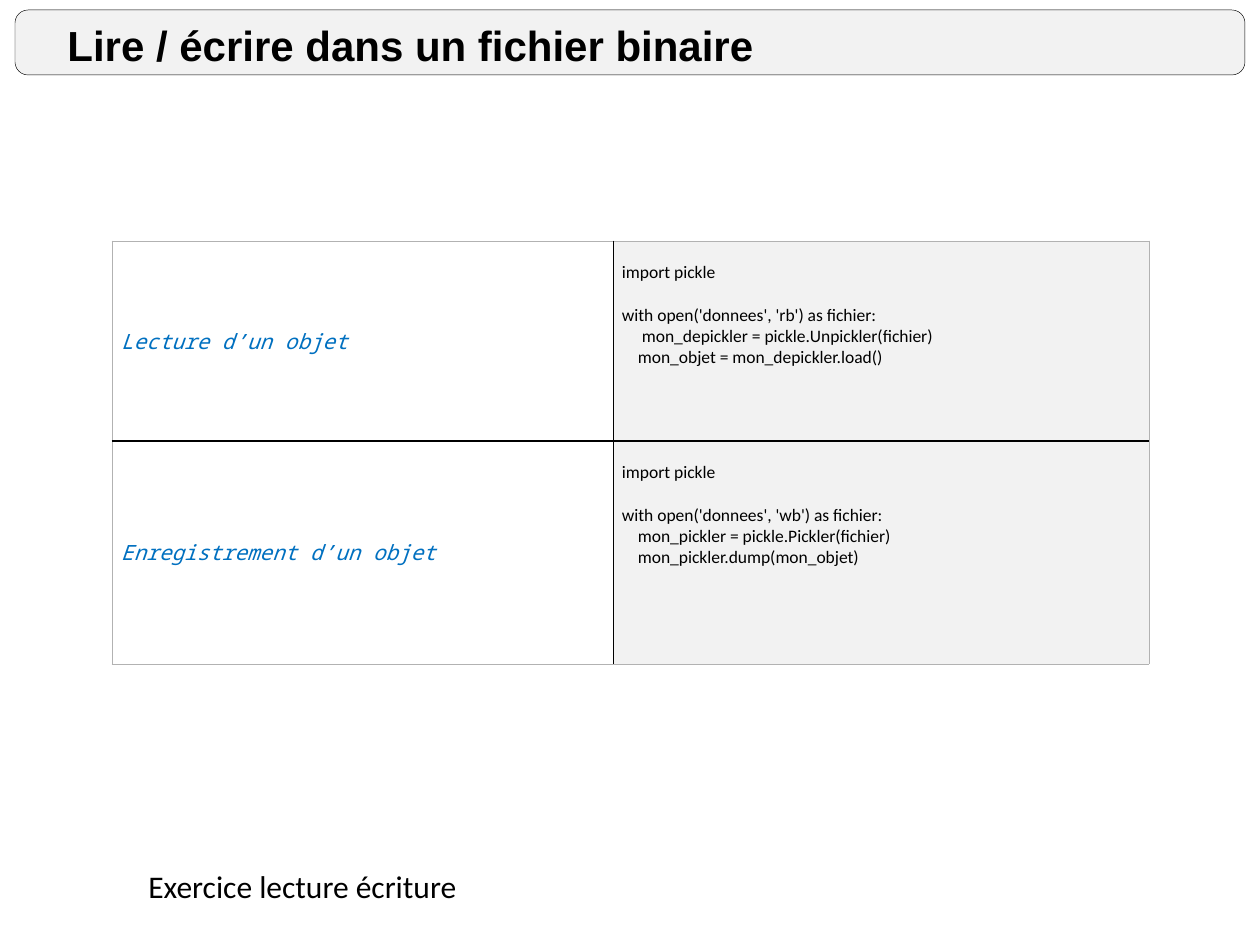
from lxml.etree import SubElement
from pptx import Presentation
from pptx.dml.color import RGBColor
from pptx.enum.shapes import MSO_SHAPE
from pptx.enum.text import MSO_ANCHOR
from pptx.oxml.ns import qn
from pptx.util import Emu, Pt

PX_PER_INCH = 126
CODE_SIZE = 10
CODE_LINE = 12.2  # points in one line of code
CODE_TOP = 21


def px(length):
    return Emu(round(length * 914400 / PX_PER_INCH))


def color(hex_code):
    return RGBColor.from_string(hex_code)


def write(paragraph, text, font="Calibri", size=18, ink="000000",
          bold=False, italic=False, indent=0, before=0):
    run = paragraph.add_run()
    run.text = text
    run.font.name = font
    run.font.size = Pt(size)
    run.font.bold = bold
    run.font.italic = italic
    run.font.color.rgb = color(ink)
    paragraph.space_before = Pt(before)
    if indent:
        properties = paragraph._p.get_or_add_pPr()
        properties.set("marL", str(px(indent)))
        properties.set("indent", "0")


def draw_border(cell, side, hex_code, width):
    """Draw one cell edge; side is L, R, T or B, in that order."""
    line = SubElement(cell._tc.get_or_add_tcPr(), qn(f"a:ln{side}"), w=str(Pt(width)))
    fill = SubElement(line, qn("a:solidFill"))
    SubElement(fill, qn("a:srgbClr"), val=hex_code)


class SlideBuilder:
    panel = "F2F2F2"
    ink = "000000"
    accent = "0070C0"
    edge = "B2B2B2"

    def __init__(self, slide):
        self.slide = slide

    def banner(self, left, top, width, height):
        banner = self.slide.shapes.add_shape(
            MSO_SHAPE.ROUNDED_RECTANGLE, px(left), px(top), px(width), px(height))
        banner.adjustments[0] = 0.2
        banner.shadow.inherit = False
        banner.fill.solid()
        banner.fill.fore_color.rgb = color(self.panel)
        banner.line.color.rgb = color(self.ink)
        banner.line.width = Pt(0.25)

    def text(self, left, top, width, height, text, anchor=MSO_ANCHOR.TOP, **style):
        box = self.slide.shapes.add_textbox(px(left), px(top), px(width), px(height))
        frame = box.text_frame
        frame.word_wrap = True
        frame.vertical_anchor = anchor
        write(frame.paragraphs[0], text, **style)

    def code_table(self, left, top, widths, heights, examples):
        """Two columns: a caption, then its code as (text, indent, lines skipped)."""
        table = self.slide.shapes.add_table(
            len(examples), 2, px(left), px(top),
            px(sum(widths)), px(sum(heights))).table
        table.first_row = table.horz_banding = False
        for column, width in zip(table.columns, widths):
            column.width = px(width)
        last_row = len(examples) - 1
        for row, (height, (caption, code)) in enumerate(zip(heights, examples)):
            table.rows[row].height = px(height)
            for column in range(2):
                self.frame_cell(table.cell(row, column), row, column, last_row)
            self.fill_caption(table.cell(row, 0), caption)
            self.fill_code(table.cell(row, 1), code)

    def frame_cell(self, cell, row, column, last_row):
        outer, divider, separator = (self.edge, 0.5), (self.ink, 0.5), (self.ink, 1)
        draw_border(cell, "L", *(outer if column == 0 else divider))
        draw_border(cell, "R", *(divider if column == 0 else outer))
        draw_border(cell, "T", *(outer if row == 0 else separator))
        draw_border(cell, "B", *(outer if row == last_row else separator))
        cell.margin_left = cell.margin_right = px(9)
        cell.margin_top = cell.margin_bottom = 0

    def fill_caption(self, cell, caption):
        cell.fill.background()
        cell.vertical_anchor = MSO_ANCHOR.MIDDLE
        write(cell.text_frame.paragraphs[0], caption, font="Noto Sans Mono",
              size=12, ink=self.accent, italic=True)

    def fill_code(self, cell, code):
        cell.fill.solid()
        cell.fill.fore_color.rgb = color(self.panel)
        cell.margin_top = px(CODE_TOP)
        frame = cell.text_frame
        for number, (text, indent, skipped) in enumerate(code):
            paragraph = frame.add_paragraph() if number else frame.paragraphs[0]
            write(paragraph, text, size=CODE_SIZE, indent=indent,
                  before=skipped * CODE_LINE)


def main():
    presentation = Presentation()
    presentation.slide_width = px(1260)
    presentation.slide_height = px(945)
    slide = presentation.slides.add_slide(presentation.slide_layouts[6])
    builder = SlideBuilder(slide)

    builder.banner(15, 10, 1230, 65)
    builder.text(55, 11, 748, 67, "Lire / écrire dans un fichier binaire",
                 anchor=MSO_ANCHOR.MIDDLE, font="Arial", size=24, bold=True)

    examples = [
        ("Lecture d’un objet", [
            ("import pickle", 0, 0),
            ("with open('donnees', 'rb') as fichier:", 0, 1),
            ("mon_depickler = pickle.Unpickler(fichier)", 20, 0),
            ("mon_objet = mon_depickler.load()", 16, 0),
        ]),
        ("Enregistrement d’un objet", [
            ("import pickle", 0, 0),
            ("with open('donnees', 'wb') as fichier:", 0, 1),
            ("mon_pickler = pickle.Pickler(fichier)", 16, 0),
            ("mon_pickler.dump(mon_objet)", 16, 0),
        ]),
    ]
    builder.code_table(112, 241, (501, 536), (200, 223), examples)

    builder.text(136, 861, 998, 50, "Exercice lecture écriture")
    presentation.save("out.pptx")


if __name__ == "__main__":
    main()
